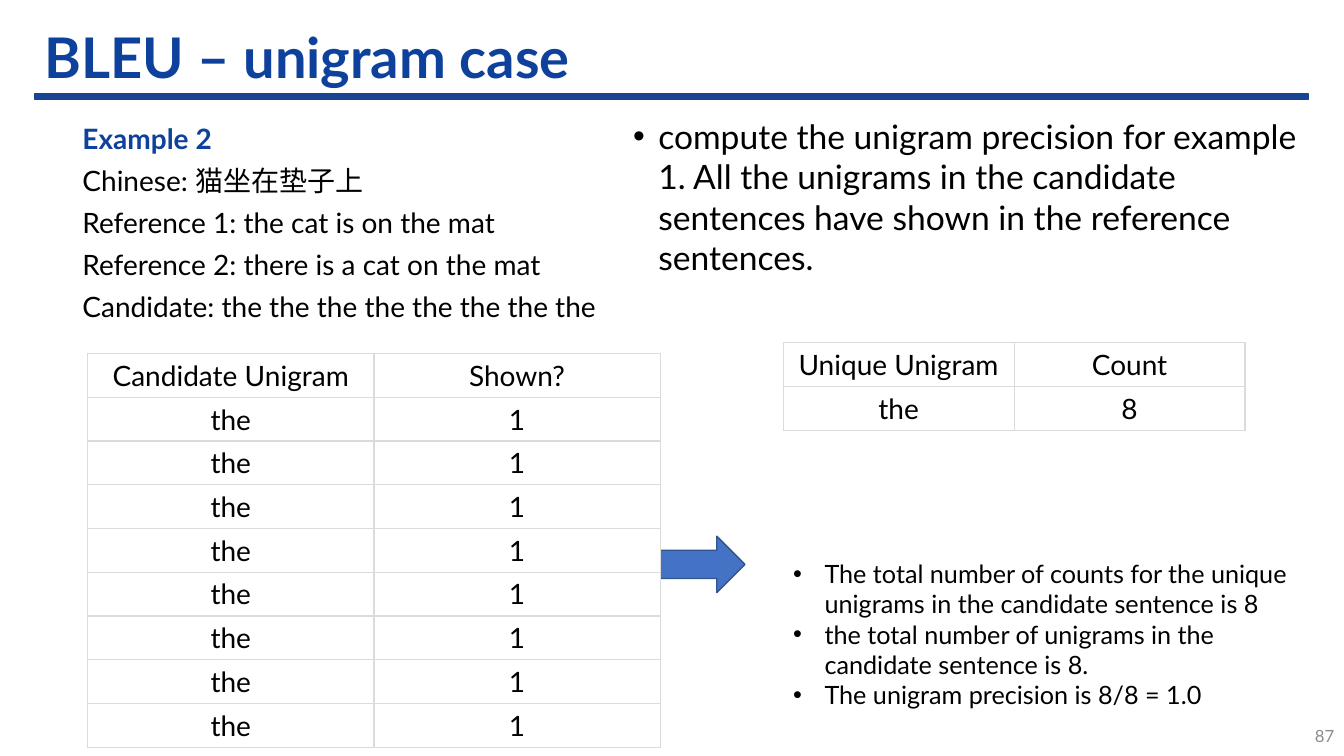
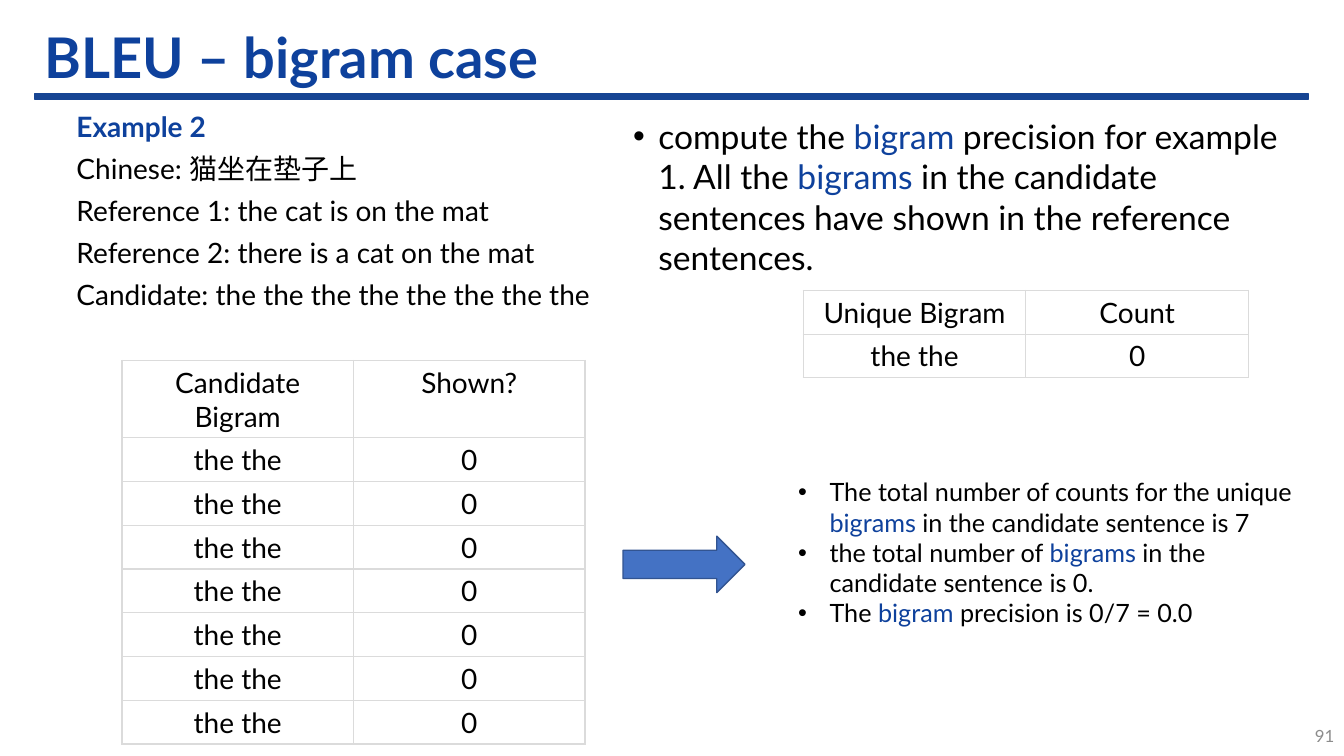
import pptx
import pptx.util
import pptx.dml.color
import pptx.enum.shapes
import pptx.enum.text
import pptx.oxml
import pptx.oxml.ns

Pt = pptx.util.Pt
ALIGN = pptx.enum.text.PP_ALIGN
ANCHOR = pptx.enum.text.MSO_ANCHOR
SHAPE = pptx.enum.shapes.MSO_SHAPE

# Shared style
FONT = "Lato"
HEX = {"title": "0E419C", "band": "174593", "text": "000000", "page": "8C8C8C",
       "arrow": "4472C4", "edge": "325491", "grid": "DBDBDB", "cell": "FFFFFF"}
TITLE = (24.5, 18.7, 910, 48.2)
BAND = (24.5, 67, 910, 3.6)
BODY = (445, 79.2, 491, 126)
ARROW = (445, 383, 87.1, 40.3)
PAGE = (912.2, 511.2, 48, 28.8)
LINE, PAD = 24, 7.2  # table text line and cell margins

# Content: words between asterisks take the accent colour
EXAMPLE = ["*Example 2*",
           "Chinese: 猫坐在垫子上",
           "Reference 1: the cat is on the mat",
           "Reference 2: there is a cat on the mat",
           "Candidate: the the the the the the the the"]
SLIDES = [
    {"title": "BLEU – unigram case", "page": "87",
     "body": "compute the unigram precision for example 1. All the unigrams "
             "in the candidate sentences have shown in the reference sentences.",
     "example": (51.8, 83.5, 409, 152.6),
     "notes": (559.4, 395.3, 373, 116.6),
     "points": ["The total number of counts for the unique unigrams "
                "in the candidate sentence is 8",
                "the total number of unigrams in the candidate sentence is 8.",
                "The unigram precision is 8/8 = 1.0"],
     "tables": [
         {"at": (62.6, 252.5), "col": 204.5, "lines": 1,
          "rows": [("Candidate Unigram", "Shown?")] + [("the", "1")] * 8},
         {"at": (559.4, 244.8), "col": 165, "lines": 1,
          "rows": [("Unique Unigram", "Count"), ("the", "8")]}]},
    {"title": "BLEU – bigram case", "page": "91",
     "body": "compute the *bigram* precision for example 1. All the *bigrams* "
             "in the candidate sentences have shown in the reference sentences.",
     "example": (47.5, 74.9, 409, 152.6),
     "notes": (563, 337, 373, 116.6),
     "points": ["The total number of counts for the unique *bigrams* "
                "in the candidate sentence is 7",
                "the total number of *bigrams* in the candidate sentence is 0.",
                "The *bigram* precision is 0/7 = 0.0"],
     "tables": [
         {"at": (87.1, 257.5), "col": 165.4, "lines": 2,
          "rows": [("Candidate Bigram", "Shown?")] + [("the the", "0")] * 7},
         {"at": (573.8, 207.4), "col": 159, "lines": 1,
          "rows": [("Unique Bigram", "Count"), ("the the", "0")]}]},
]


def rgb(name):
    return pptx.dml.color.RGBColor.from_string(HEX[name])


def pts(box):
    return [Pt(n) for n in box]


def xml(tag, attrs, inner=""):
    return pptx.oxml.parse_xml(
        f'<a:{tag} {pptx.oxml.ns.nsdecls("a")} {attrs}>{inner}</a:{tag}>')


def put(frame, text, size=20, color="text", bold=False, strong=False,
        align=ALIGN.LEFT, anchor=None, after=0, line=1.0, hang=0):
    """Write one string or a list of paragraphs; strong makes accents bold."""
    frame.word_wrap = True
    if anchor is not None:
        frame.vertical_anchor = anchor
    items = [text] if isinstance(text, str) else text
    for i, item in enumerate(items):
        para = frame.add_paragraph() if i else frame.paragraphs[0]
        if hang:
            props = para._p.get_or_add_pPr()
            props.set("marL", str(Pt(hang)))
            props.set("indent", str(-Pt(hang)))
            props.append(xml("buFont", 'typeface="Arial"'))
            props.append(xml("buChar", 'char="•"'))
        para.alignment = align
        para.line_spacing = line
        para.space_before, para.space_after = Pt(0), Pt(after)
        for k, part in enumerate(item.split("*")):
            if not part:
                continue
            hot = k % 2 == 1
            run = para.add_run()
            run.text = part
            font = run.font
            font.name, font.size = FONT, Pt(size)
            font.bold = bold or (strong and hot)
            font.color.rgb = rgb("title" if hot else color)


def block(slide, kind, box, fill, edge):
    shape = slide.shapes.add_shape(kind, *pts(box))
    shape.shadow.inherit = False
    shape.fill.solid()
    shape.fill.fore_color.rgb = rgb(fill)
    shape.line.color.rgb = rgb(edge)
    shape.line.width = Pt(1)
    return shape


def note(slide, box, text, **style):
    put(slide.shapes.add_textbox(*pts(box)).text_frame, text, **style)


def grid(slide, at, col, lines, rows):
    highs = [LINE * lines + PAD] + [LINE + PAD] * (len(rows) - 1)
    cols = len(rows[0])
    table = slide.shapes.add_table(
        len(rows), cols, *pts((*at, col * cols, sum(highs)))).table
    table.first_row = table.horz_banding = False
    for c in table.columns:
        c.width = Pt(col)
    for r, row in enumerate(rows):
        table.rows[r].height = Pt(highs[r])
        for c, word in enumerate(row):
            cell = table.cell(r, c)
            props = cell._tc.get_or_add_tcPr()
            for side in "LRTB":
                props.append(xml(
                    f"ln{side}", f'w="{Pt(1)}"',
                    f'<a:solidFill><a:srgbClr val="{HEX["grid"]}"/></a:solidFill>'))
            cell.fill.solid()
            cell.fill.fore_color.rgb = rgb("cell")
            put(cell.text_frame, word, align=ALIGN.CENTER)


def build(deck, layout, data):
    slide = deck.slides.add_slide(layout)
    title, body = slide.placeholders
    for holder in (title, body):
        holder.text_frame.auto_size = pptx.enum.text.MSO_AUTO_SIZE.NONE
    put(title.text_frame, data["title"], size=40, color="title", bold=True,
        anchor=ANCHOR.MIDDLE, line=0.9)
    put(body.text_frame, data["body"], size=24, after=18, hang=18)
    note(slide, PAGE, data["page"], size=12, color="page",
         align=ALIGN.RIGHT, anchor=ANCHOR.MIDDLE)
    block(slide, SHAPE.RIGHT_ARROW, ARROW, "arrow", "edge")
    note(slide, data["notes"], data["points"], size=18, hang=22.5)
    note(slide, data["example"], EXAMPLE, strong=True, after=6)
    for table in data["tables"]:
        grid(slide, **table)
    return slide


def main():
    deck = pptx.Presentation()
    deck.slide_width, deck.slide_height = Pt(960), Pt(540)

    # Layout: title and body places
    layout = deck.slide_layouts[1]
    for holder, box in zip(layout.placeholders, (TITLE, BODY)):
        holder.left, holder.top, holder.width, holder.height = pts(box)

    slides = [build(deck, layout, data) for data in SLIDES]

    # Band under the title, moved to the layout so all slides share it
    band = block(slides[0], SHAPE.RECTANGLE, BAND, "band", "band")
    layout.shapes.element.append(band.element)

    deck.save("out.pptx")


if __name__ == "__main__":
    main()
